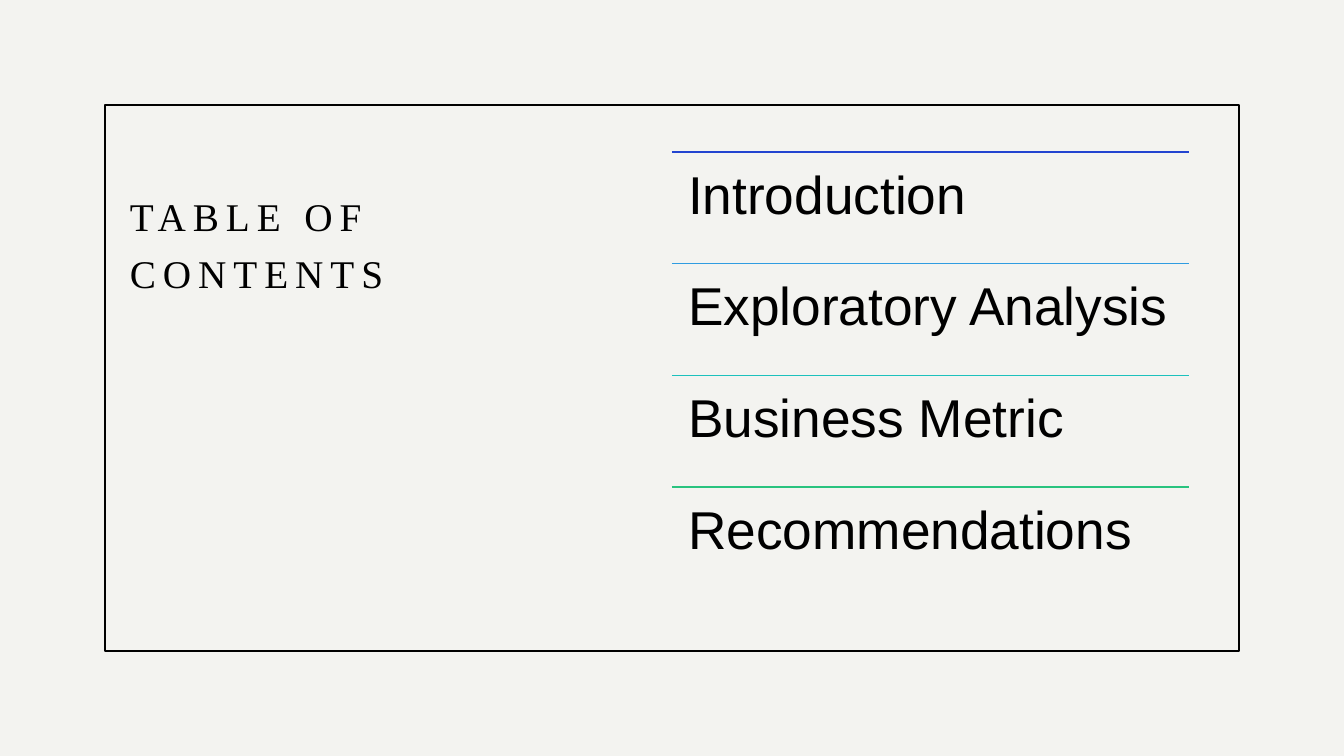
"""Build a table-of-contents slide with a framed title and four ruled entries."""
from dataclasses import dataclass

from lxml import etree
from pptx import Presentation
from pptx import util as u
from pptx.dml.color import RGBColor
from pptx.enum import shapes, text
from pptx.oxml.ns import qn

TITLE = "TABLE OF CONTENTS"
ENTRIES = [
    ("Introduction", "2244D0"),
    ("Exploratory Analysis", "2F9CE1"),
    ("Business Metric", "1BC1BD"),
    ("Recommendations", "29C37F"),
]


@dataclass(frozen=True)
class Theme:
    paper: str = "F3F3F0"
    ink: str = "000000"
    title_font: str = "Times New Roman"
    entry_font: str = "Arial"
    title_size: int = 28
    entry_size: int = 38
    title_tracking: int = 500
    rule_width: int = 1


THEME = Theme()
WIDTH, HEIGHT = 13.33, 7.5
MARGIN = 1.04
LIST_LEFT, LIST_TOP = WIDTH / 2, 1.51
LIST_WIDTH, ROW = 5.13, 1.107


def rgb(code):
    return RGBColor.from_string(code)


def add_label(parent, words, box, font, size, spacing, inset, anchor):
    frame = parent.add_textbox(*map(u.Inches, box)).text_frame
    frame.word_wrap = True
    frame.vertical_anchor = anchor
    frame.margin_left = frame.margin_right = u.Inches(inset)
    frame.margin_top = frame.margin_bottom = u.Inches(inset)
    line = frame.paragraphs[0]
    line.text = words
    line.line_spacing = spacing
    line.font.name = font
    line.font.size = u.Pt(size)
    line.font.color.rgb = rgb(THEME.ink)
    return line


def add_rule(parent, top, color):
    ends = (LIST_LEFT, top, LIST_LEFT + LIST_WIDTH, top)
    rule = parent.add_connector(shapes.MSO_CONNECTOR.STRAIGHT, *map(u.Inches, ends))
    rule.line.color.rgb = rgb(color)
    rule.line.width = u.Pt(THEME.rule_width)
    etree.SubElement(rule._element.spPr, qn("a:effectLst"))


def main():
    deck = Presentation()
    deck.slide_width, deck.slide_height = u.Inches(WIDTH), u.Inches(HEIGHT)
    slide = deck.slides.add_slide(deck.slide_layouts[6])
    slide.background.fill.solid()
    slide.background.fill.fore_color.rgb = rgb(THEME.paper)

    frame_box = (MARGIN, MARGIN, WIDTH - 2 * MARGIN, HEIGHT - 2 * MARGIN)
    border = slide.shapes.add_shape(
        shapes.MSO_SHAPE.RECTANGLE, *map(u.Inches, frame_box))
    border.shadow.inherit = False
    border.fill.background()
    border.line.color.rgb = rgb(THEME.ink)
    border.line.width = u.Pt(THEME.rule_width)

    title = add_label(slide.shapes, TITLE, (1.19, 1.43, 4.98, 1.9),
                      THEME.title_font, THEME.title_size, 1.2, 0.1,
                      text.MSO_ANCHOR.MIDDLE)
    title.runs[0].font._element.set("spc", str(THEME.title_tracking))

    contents = slide.shapes.add_group_shape().shapes
    for row, (entry, color) in enumerate(ENTRIES):
        top = LIST_TOP + row * ROW
        add_rule(contents, top, color)
        add_label(contents, entry, (LIST_LEFT, top, LIST_WIDTH, ROW),
                  THEME.entry_font, THEME.entry_size, 0.9, 0.16,
                  text.MSO_ANCHOR.TOP)

    deck.save("out.pptx")


if __name__ == "__main__":
    main()
